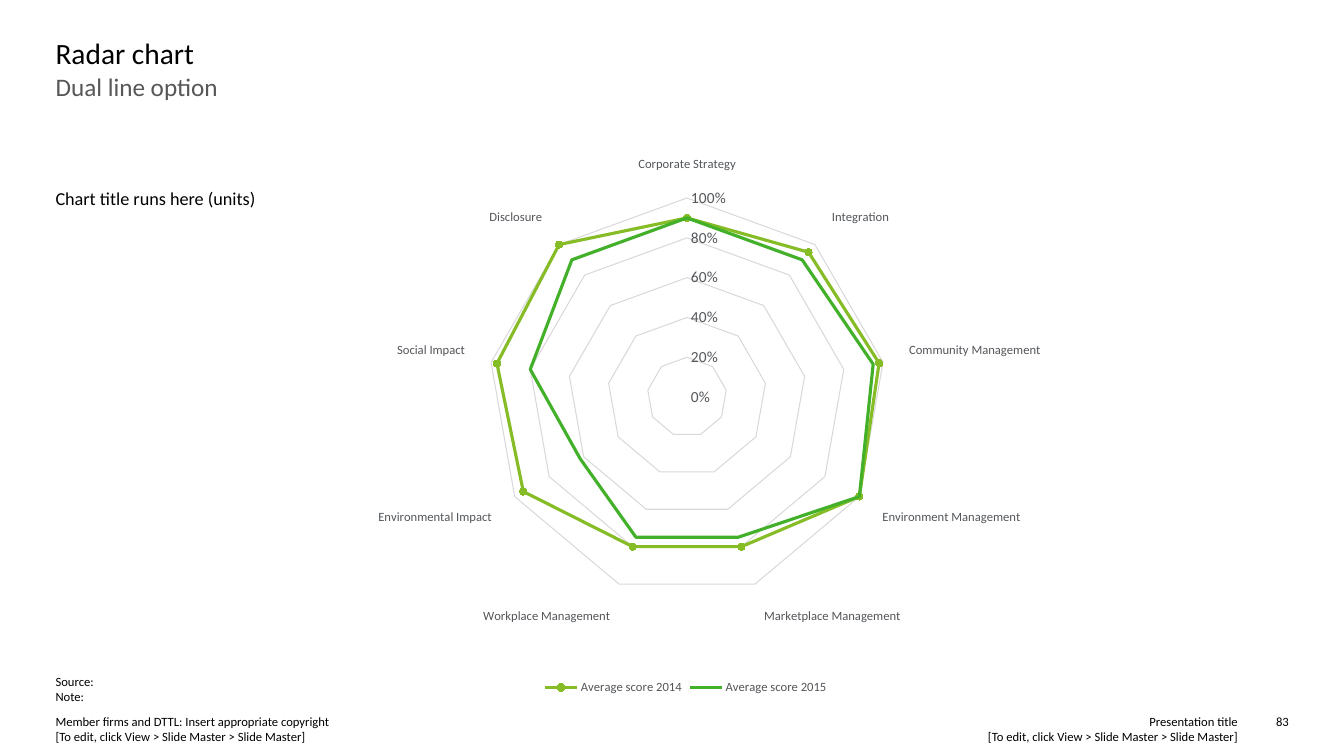
from dataclasses import dataclass

from lxml import etree
from pptx import Presentation
from pptx.chart.data import CategoryChartData
from pptx.dml.color import RGBColor
from pptx.enum.chart import XL_CHART_TYPE, XL_LEGEND_POSITION, XL_MARKER_STYLE, XL_TICK_MARK
from pptx.enum.text import MSO_ANCHOR, MSO_AUTO_SIZE, PP_ALIGN
from pptx.oxml.ns import qn
from pptx.util import Cm, Pt

RADAR = XL_CHART_TYPE.RADAR_MARKERS
BOTTOM = XL_LEGEND_POSITION.BOTTOM
CIRCLE, BARE = XL_MARKER_STYLE.CIRCLE, XL_MARKER_STYLE.NONE
NO_TICK = XL_TICK_MARK.NONE
TOP, FIXED = MSO_ANCHOR.TOP, MSO_AUTO_SIZE.NONE
LEFT, RIGHT = PP_ALIGN.LEFT, PP_ALIGN.RIGHT

FACE = "Calibri"
BLACK, GREY, LABEL, GRID = "000000", "575757", "53565A", "D9D9D9"
EDGE, WIDE, FOOT = 1.4, 31.09, 17.98
EDIT = "[To edit, click View > Slide Master > Slide Master]"


@dataclass
class Block:
    box: tuple[float, float, float, float]
    paras: tuple[str, ...]
    size: float = 9
    color: str = BLACK
    align: PP_ALIGN = LEFT
    after: float = 0


@dataclass
class Score:
    name: str
    color: str
    mark: XL_MARKER_STYLE
    vals: tuple[float, ...]


TITLE = Block((EDGE, 0.89, WIDE, 0.94), ("Radar chart",), 21)
SUB = Block((EDGE, 1.8, WIDE, 2.11), ("Dual line option",), 18, GREY, after=10)
NOTES = (
    Block((EDGE, 4.72, 5.94, 0.86), ("Chart title runs here (units)",), 13, after=10),
    Block((EDGE, 16.99, WIDE, 0.74), ("Source:", "Note:")),
    Block((EDGE, FOOT, 14.88, 0.76),
          (f"Member firms and DTTL: Insert appropriate copyright\n{EDIT}",)),
    Block((17.6, FOOT, 13.59, 0.76), (f"Presentation title\n{EDIT}",), align=RIGHT),
    Block((31.62, FOOT, 0.86, 0.38), ("83",), align=RIGHT),
)

CHART_BOX = (1.78, 2.57, 31.01, 15.04)
PLOT = {"x": 0.271, "y": 0.161, "w": 0.46, "h": 0.667}
TOPICS = ("Corporate Strategy", "Integration", "Community Management",
          "Environment Management", "Marketplace Management", "Workplace Management",
          "Environmental Impact", "Social Impact", "Disclosure")
SCORES = (
    Score("Average score 2014", "86BC25", CIRCLE,
          (0.9, 0.95, 0.98, 1, 0.8, 0.8, 0.95, 0.97, 1)),
    Score("Average score 2015", "43B02A", BARE,
          (0.9, 0.9, 0.95, 1, 0.75, 0.75, 0.62, 0.8, 0.9)),
)


def paint(target, color: str) -> None:
    """Colour a font, or make a fill solid in that colour."""
    if hasattr(target, "solid"):
        target.solid()
        target.fore_color.rgb = RGBColor.from_string(color)
    else:
        target.color.rgb = RGBColor.from_string(color)


def style(font, size: float, color: str) -> None:
    font.name, font.size, font.bold = FACE, Pt(size), False
    paint(font, color)


def stroke(line, color: str, width: float) -> None:
    paint(line.fill, color)
    line.width = Pt(width)


def write(shape, block: Block) -> None:
    """Place a text shape and fill it run by run."""
    shape.left, shape.top, shape.width, shape.height = map(Cm, block.box)
    frame = shape.text_frame
    frame.word_wrap, frame.auto_size, frame.vertical_anchor = True, FIXED, TOP
    frame.margin_left = frame.margin_top = frame.margin_right = frame.margin_bottom = 0
    for i, text in enumerate(block.paras):
        para = frame.add_paragraph() if i else frame.paragraphs[0]
        props = para._p.get_or_add_pPr()
        props.set("marL", "0")
        props.set("indent", "0")
        etree.SubElement(props, qn("a:buNone"))
        para.alignment, para.line_spacing = block.align, 1.0
        para.space_before, para.space_after = Pt(0), Pt(block.after)
        for j, part in enumerate(text.split("\n")):
            if j:
                para.add_line_break()
            run = para.add_run()
            run.text = part
            style(run.font, block.size, block.color)


def fix_plot(chart) -> None:
    """Pin the inner plot area to its share of the chart."""
    area = chart._chartSpace.chart.plotArea
    for old in area.findall(qn("c:layout")):
        area.remove(old)
    layout = etree.Element(qn("c:layout"))
    area.insert(0, layout)
    manual = etree.SubElement(layout, qn("c:manualLayout"))
    rules = {"layoutTarget": "inner", "xMode": "edge", "yMode": "edge", **PLOT}
    for tag, val in rules.items():
        etree.SubElement(manual, qn(f"c:{tag}")).set("val", str(val))


def add_radar(slide) -> None:
    data = CategoryChartData(number_format="0%")
    data.categories = TOPICS
    for score in SCORES:
        data.add_series(score.name, score.vals)
    chart = slide.shapes.add_chart(RADAR, *map(Cm, CHART_BOX), data).chart
    chart.has_title = False
    style(chart.font, 10, BLACK)
    fix_plot(chart)

    chart.has_legend = True
    chart.legend.position = BOTTOM
    chart.legend.include_in_layout = False
    style(chart.legend.font, 9, LABEL)

    spokes, scale = chart.category_axis, chart.value_axis
    for axis, size in ((spokes, 9), (scale, 11)):
        axis.major_tick_mark = axis.minor_tick_mark = NO_TICK
        style(axis.tick_labels.font, size, LABEL)
    spokes.has_major_gridlines = False
    stroke(spokes.format.line, GRID, 0.75)
    scale.minimum_scale, scale.maximum_scale, scale.major_unit = 0, 1, 0.2
    scale.tick_labels.number_format = "0%"
    scale.tick_labels.number_format_is_linked = False
    scale.format.line.fill.background()
    scale.has_major_gridlines = True
    stroke(scale.major_gridlines.format.line, GRID, 0.75)

    plot = chart.plots[0]
    plot.vary_by_categories = False
    for line, score in zip(plot.series, SCORES):
        stroke(line.format.line, score.color, 2.25)
        line.marker.style = score.mark
        if score.mark == CIRCLE:
            line.marker.size = 5
            paint(line.marker.format.fill, score.color)
            line.marker.format.line.fill.background()


def main() -> None:
    deck = Presentation()
    deck.slide_width, deck.slide_height = Cm(33.87), Cm(19.05)
    slide = deck.slides.add_slide(deck.slide_layouts[1])
    write(slide.shapes.title, TITLE)
    write(slide.placeholders[1], SUB)
    add_radar(slide)
    for note in NOTES:
        write(slide.shapes.add_textbox(0, 0, 0, 0), note)
    deck.save("out.pptx")


if __name__ == "__main__":
    main()
